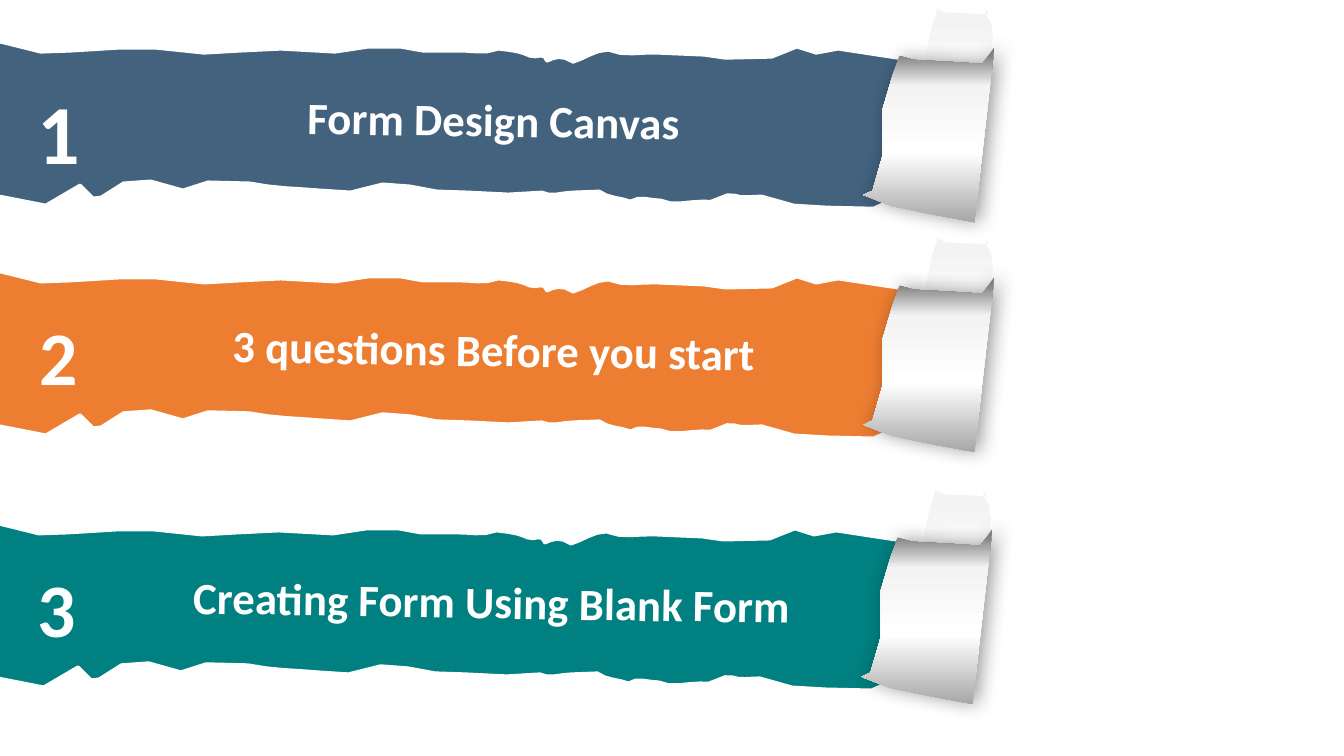
import math

import pptx
import pptx.dml.color
import pptx.enum.text
import pptx.oxml
import pptx.oxml.ns
import pptx.util
from pptx.util import Inches

THEME = {
    "font": "Calibri", "text": "FFFFFF", "edge": "FFFFFF", "edge_width": 2.25,
    "label_size": 32,
    "fold": [(8, "F3F3F3"), (62, "FFFFFF"), (100, "A6A6A6")],
    "roll": [(8, "808080"), (25, "F3F3F3"), (62, "FFFFFF"), (100, "A6A6A6")],
}

# number, number size, number box height, label, colour, shift from first strip
STRIPS = [
    ("1", 60, 1.11, "Form Design Canvas", "43627E", (0, 0)),
    ("2", 54, 0.71, "3 questions Before you start", "ED7D31", (0, 2.28)),
    ("3", 54, 1.01, "Creating Form Using Blank Form", "008080", (-0.02, 4.78)),
]
NUMBER_BOX = (0.23, 0.75, 0.71)
LABEL_BOX = (1.24, 0.87, 7.31, 0.64)
LABEL_TILT = 1
PAPER_TILT = 273

# Outlines of the first strip: pairs are corners, six numbers are Bezier curves.
BAND_CENTRE = (4.39, 1.26)
BAND = [
    (-0.05, 1.94), (0.46, 2.04), (0.8, 1.84), (0.93, 1.97), (1.01, 1.96),
    (1.23, 1.82), (1.5, 1.8), (1.82, 1.89), (2.07, 1.81), (2.48, 1.82),
    (2.73, 1.87, 2.95, 1.87, 3.18, 1.89), (3.48, 1.91), (3.8, 1.83),
    (4.07, 1.85), (4.34, 1.9), (4.64, 1.91), (5.05, 1.93), (5.38, 1.91),
    (5.46, 1.96, 5.59, 1.91, 5.7, 1.91), (5.95, 1.9),
    (6.04, 1.97, 6.16, 1.96, 6.26, 2), (6.34, 1.94, 6.46, 1.99, 6.56, 1.99),
    (6.68, 2.05, 6.83, 2, 6.97, 2), (7.08, 2.04, 7.2, 1.9, 7.29, 1.94),
    (7.36, 1.97, 7.47, 1.95, 7.56, 1.95), (7.88, 2.04), (8.21, 2.06),
    (8.67, 2.07), (8.78, 2.02), (8.84, 1.89), (8.95, 1.33), (8.94, 0.98),
    (9.01, 0.66), (9.04, 0.6), (8.32, 0.49), (8.1, 0.53), (7.91, 0.47),
    (7.66, 0.57), (7.2, 0.58), (6.99, 0.55), (6.53, 0.53),
    (6.37, 0.52, 6.19, 0.57, 6.04, 0.5), (5.91, 0.5, 5.8, 0.59, 5.69, 0.62),
    (5.57, 0.54, 5.5, 0.58, 5.43, 0.61), (5.4, 0.51, 5.34, 0.59, 5.26, 0.56),
    (5.17, 0.52, 5.13, 0.51, 4.95, 0.49), (4.8, 0.55, 4.67, 0.5, 4.52, 0.51),
    (4.2, 0.51), (3.98, 0.47), (3.66, 0.47), (3.33, 0.52), (2.79, 0.49),
    (2.38, 0.51), (2.03, 0.53), (1.55, 0.48), (1.19, 0.48), (0.7, 0.51),
    (0.41, 0.52), (0.01, 0.42), (-0.18, 0.43), (-0.1, 0.84), (-0.17, 1.62),
]
FOLD_CENTRE = (9.46, 0.75)
FOLD = [
    (9.06, 1.22), (9.23, 1.31), (9.48, 1.37), (9.74, 1.44),
    (9.78, 1.08, 9.84, 0.59, 9.85, 0.37), (9.85, 0.14, 9.74, 0.19, 9.78, 0.1),
    (9.81, 0.15), (9.61, 0.14), (9.38, 0.13), (9.3, 0.09), (9.25, 0.25),
    (9.19, 0.53), (9.18, 0.9), (9.12, 1.19),
]
ROLL_CENTRE = (9.21, 1.31)
ROLL = [
    (8.56, 1.94), (8.84, 2.05), (9.23, 2.13), (9.66, 2.21), (9.81, 0.9),
    (9.86, 0.47), (9.74, 0.64), (9.43, 0.62), (9.06, 0.6), (8.92, 0.56),
    (8.85, 0.75), (8.75, 1.09), (8.75, 1.55), (8.65, 1.9),
]
CURVE_STEPS = 4


def rgb(value):
    return pptx.dml.color.RGBColor.from_string(value)


def flatten(outline):
    """Turn an outline with Bezier curves into plain corner points."""
    points = []
    for step in outline:
        if len(step) == 2:
            points.append(step)
            continue
        controls = [points[-1], step[0:2], step[2:4], step[4:6]]
        for index in range(1, CURVE_STEPS + 1):
            t = index / CURVE_STEPS
            weights = [math.comb(3, k) * t**k * (1 - t)**(3 - k) for k in range(4)]
            points.append(tuple(
                sum(w * c[axis] for w, c in zip(weights, controls))
                for axis in (0, 1)))
    return points


def add_paper(shapes, outline, centre, shift):
    """Draw an outline in its upright frame, then tilt it into place."""
    angle = math.radians(-PAPER_TILT)
    cosine, sine = math.cos(angle), math.sin(angle)
    corners = []
    for x, y in flatten(outline):
        dx, dy = x - centre[0], y - centre[1]
        corners.append((
            Inches(centre[0] + shift[0] + dx * cosine - dy * sine),
            Inches(centre[1] + shift[1] + dx * sine + dy * cosine)))
    builder = shapes.build_freeform(*corners[0])
    builder.add_line_segments(corners[1:], close=True)
    shape = builder.convert_to_shape()
    shape.rotation = PAPER_TILT
    shape.shadow.inherit = False
    return shape


def set_gradient(shape, stops):
    shape.line.fill.background()
    shape.fill.background()
    stop_xml = "".join(
        f'<a:gs pos="{position * 1000}"><a:srgbClr val="{color}"/></a:gs>'
        for position, color in stops)
    gradient = pptx.oxml.parse_xml(
        f'<a:gradFill {pptx.oxml.ns.nsdecls("a")} rotWithShape="0">'
        f'<a:gsLst>{stop_xml}</a:gsLst><a:lin ang="5400000" scaled="0"/></a:gradFill>')
    properties = shape.element.spPr
    properties.replace(properties.find(pptx.oxml.ns.qn("a:noFill")), gradient)


def set_shadow(shape):
    effects = shape.element.spPr.find(pptx.oxml.ns.qn("a:effectLst"))
    effects.append(pptx.oxml.parse_xml(
        f'<a:outerShdw {pptx.oxml.ns.nsdecls("a")} blurRad="{pptx.util.Pt(14)}" '
        f'dist="{pptx.util.Pt(3)}" dir="0" algn="ctr" rotWithShape="0">'
        '<a:srgbClr val="000000"><a:alpha val="40000"/></a:srgbClr></a:outerShdw>'))


def add_text(slide, text, box, shift, size, tilt=0):
    left, top, width, height = box
    shape = slide.shapes.add_textbox(
        Inches(left + shift[0]), Inches(top + shift[1]), Inches(width), Inches(height))
    shape.rotation = tilt
    frame = shape.text_frame
    frame.word_wrap = True
    frame.auto_size = pptx.enum.text.MSO_AUTO_SIZE.SHAPE_TO_FIT_TEXT
    frame.text = text
    paragraph = frame.paragraphs[0]
    paragraph.alignment = pptx.enum.text.PP_ALIGN.CENTER
    font = paragraph.runs[0].font
    font.name, font.size, font.bold = THEME["font"], pptx.util.Pt(size), True
    font.color.rgb = rgb(THEME["text"])


def add_strip(slide, number, number_size, number_height, label, color, shift):
    band = add_paper(slide.shapes, BAND, BAND_CENTRE, shift)
    band.fill.solid()
    band.fill.fore_color.rgb = rgb(color)
    band.line.color.rgb = rgb(THEME["edge"])
    band.line.width = pptx.util.Pt(THEME["edge_width"])

    flap = slide.shapes.add_group_shape()
    set_gradient(add_paper(flap.shapes, FOLD, FOLD_CENTRE, shift), THEME["fold"])
    roll = add_paper(flap.shapes, ROLL, ROLL_CENTRE, shift)
    set_gradient(roll, THEME["roll"])
    set_shadow(roll)

    add_text(slide, number, (*NUMBER_BOX, number_height), shift, number_size)
    add_text(slide, label, LABEL_BOX, shift, THEME["label_size"], LABEL_TILT)


def main():
    presentation = pptx.Presentation()
    presentation.slide_width = Inches(13.33)
    presentation.slide_height = Inches(7.5)
    slide = presentation.slides.add_slide(presentation.slide_layouts[6])
    for strip in STRIPS:
        add_strip(slide, *strip)
    presentation.save("out.pptx")


if __name__ == "__main__":
    main()
